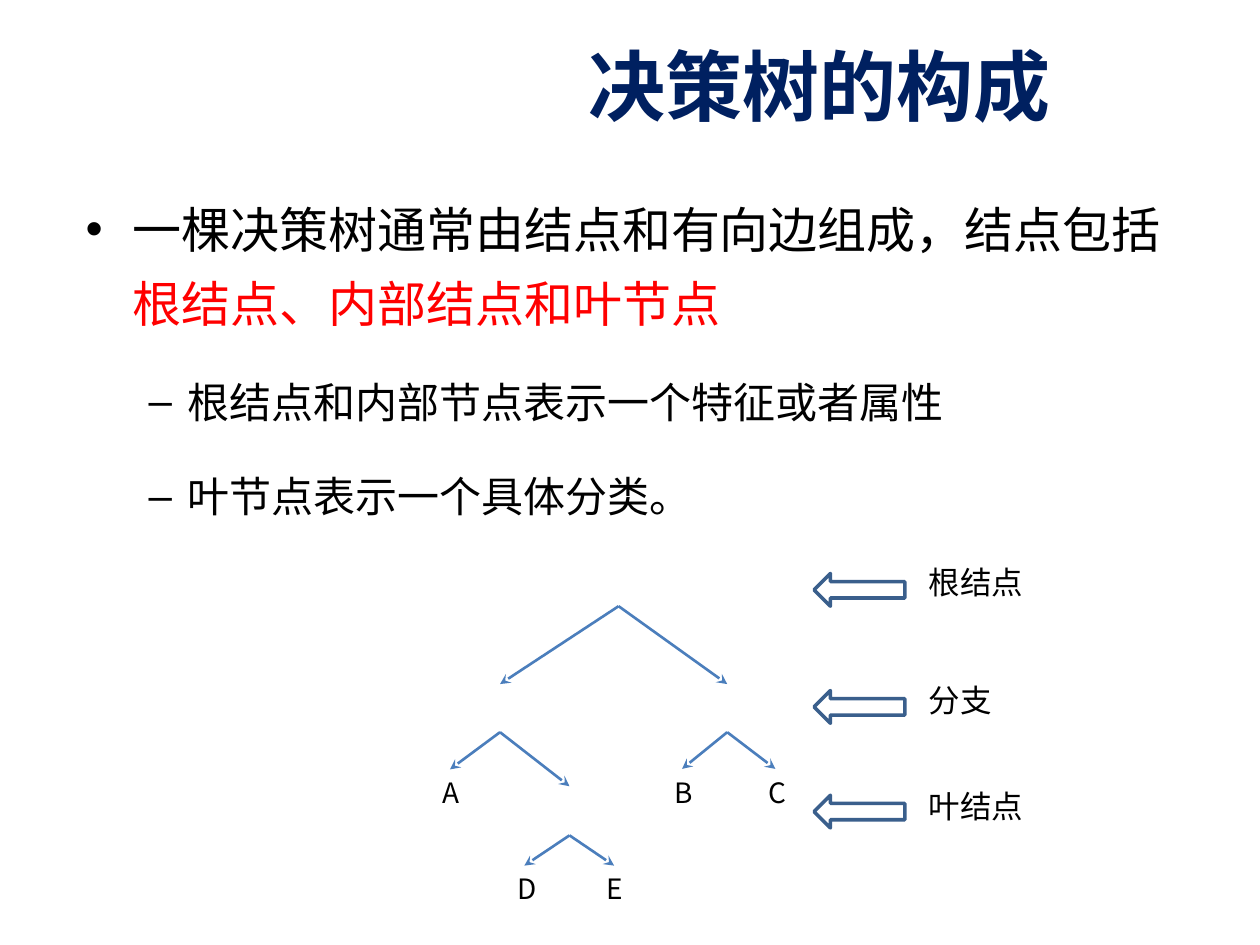
from lxml import etree
from pptx import Presentation
from pptx.dml.color import RGBColor
from pptx.enum.shapes import MSO_CONNECTOR, MSO_SHAPE
from pptx.enum.text import MSO_AUTO_SIZE
from pptx.oxml.ns import qn
from pptx.util import Cm, Pt

LINE = MSO_CONNECTOR.STRAIGHT
ARROW = MSO_SHAPE.RIGHT_ARROW
FIXED = MSO_AUTO_SIZE.NONE
GROW = MSO_AUTO_SIZE.SHAPE_TO_FIT_TEXT

NAVY, BLACK, RED = "002060", "000000", "FF0000"
EDGE, FRAME = "4B7EBC", "3A5F8C"
HAN, LATIN = "Noto Sans CJK SC", "Calibri"


def rgb(code):
    return RGBColor.from_string(code)


class Page:
    """Holds the style and the current slide."""

    def __init__(self, deck):
        self.slide = deck.slides.add_slide(deck.slide_layouts[1])

    def run(self, para, text, size, color=BLACK, font=HAN, bold=None):
        part = para.add_run()
        part.text = text
        part.font.size = Pt(size)
        part.font.name = font
        part.font.bold = bold
        part.font.color.rgb = rgb(color)
        # East Asian face follows the Latin one
        face = etree.Element(qn("a:ea"), typeface=HAN)
        part.font._element.find(qn("a:latin")).addnext(face)

    def place(self, shape, left, top, width, height):
        shape.left, shape.top = Cm(left), Cm(top)
        shape.width, shape.height = Cm(width), Cm(height)
        shape.text_frame.auto_size = FIXED
        return shape.text_frame

    def title(self, text, *box):
        frame = self.place(self.slide.shapes.title, *box)
        self.run(frame.paragraphs[0], text, 44, NAVY, LATIN, True)

    def body(self, items, *box):
        frame = self.place(self.slide.placeholders[1], *box)
        for i, (level, size, runs) in enumerate(items):
            para = frame.add_paragraph() if i else frame.paragraphs[0]
            para.level = level
            para.line_spacing = Pt(42)
            para.space_before = Pt(12 if i else 0)
            for text, color in runs:
                self.run(para, text, size, color)

    def label(self, text, size, left, top, width, height):
        box = self.slide.shapes.add_textbox(
            Cm(left), Cm(top), Cm(width), Cm(height))
        box.text_frame.word_wrap = False
        box.text_frame.auto_size = GROW
        self.run(box.text_frame.paragraphs[0], text, size)
        return box

    def edge(self, start, end, leaf=None):
        link = self.slide.shapes.add_connector(
            LINE, *map(Cm, start), *map(Cm, end))
        if leaf is not None:
            link.end_connect(leaf, 0)
        link.line.color.rgb = rgb(EDGE)
        link.line.width = Pt(1.5)
        etree.SubElement(link.line._get_or_add_ln(), qn("a:tailEnd"),
                         type="stealth")
        etree.SubElement(link._element.spPr, qn("a:effectLst"))

    def arrow(self, left, top, width, height):
        shape = self.slide.shapes.add_shape(
            ARROW, Cm(left), Cm(top), Cm(width), Cm(height))
        shape.rotation = 180
        shape.shadow.inherit = False
        shape.fill.background()
        shape.line.color.rgb = rgb(FRAME)
        shape.line.width = Pt(2)


def main():
    deck = Presentation()
    deck.slide_width, deck.slide_height = Cm(25.4), Cm(19.05)
    page = Page(deck)

    # Title and list
    page.title("决策树的构成", 9.32, 0.43, 14.4, 2.54)
    page.body([
        (0, 28, [("一棵决策树通常由结点和有向边组成，结点包括", BLACK),
                 ("根结点、内部结点和叶节点", RED)]),
        (1, 24, [("根结点和内部节点表示一个特征或者属性", BLACK)]),
        (1, 24, [("叶节点表示一个具体分类。", BLACK)]),
    ], 1.47, 3.6, 22.65, 14.8)

    # Tree: inner nodes are bare gaps between an entry and an exit point
    root = (12.47, 12.22)
    left, right, low = 10.08, 14.66, 11.48
    page.edge(root, (left, 13.79))
    page.edge(root, (right, 13.79))
    page.edge((left, 14.76), (low, 15.85))

    # Leaves: name, centre, top, exit point of the parent
    wide, high = 0.79, 0.94
    leaves = [
        ("A", 9.07, 15.51, (left, 14.76)),
        ("B", 13.75, 15.5, (right, 14.76)),
        ("C", 15.63, 15.5, (right, 14.76)),
        ("D", 10.57, 17.45, (low, 16.84)),
        ("E", 12.38, 17.45, (low, 16.84)),
    ]
    for name, mid, top, start in leaves:
        leaf = page.label(name, 16, mid - wide / 2, top, wide, high)
        page.edge(start, (mid, top), leaf)

    # Legend: text, width, label top, arrow top
    for text, width, top, tip in [("根结点", 2.44, 11.23, 11.56),
                                  ("分支", 1.8, 13.61, 13.92),
                                  ("叶结点", 2.44, 15.75, 16.03)]:
        page.label(text, 18, 18.47, top, width, 1.02)
        page.arrow(16.41, tip, 1.83, 0.66)

    deck.save("out.pptx")


if __name__ == "__main__":
    main()
